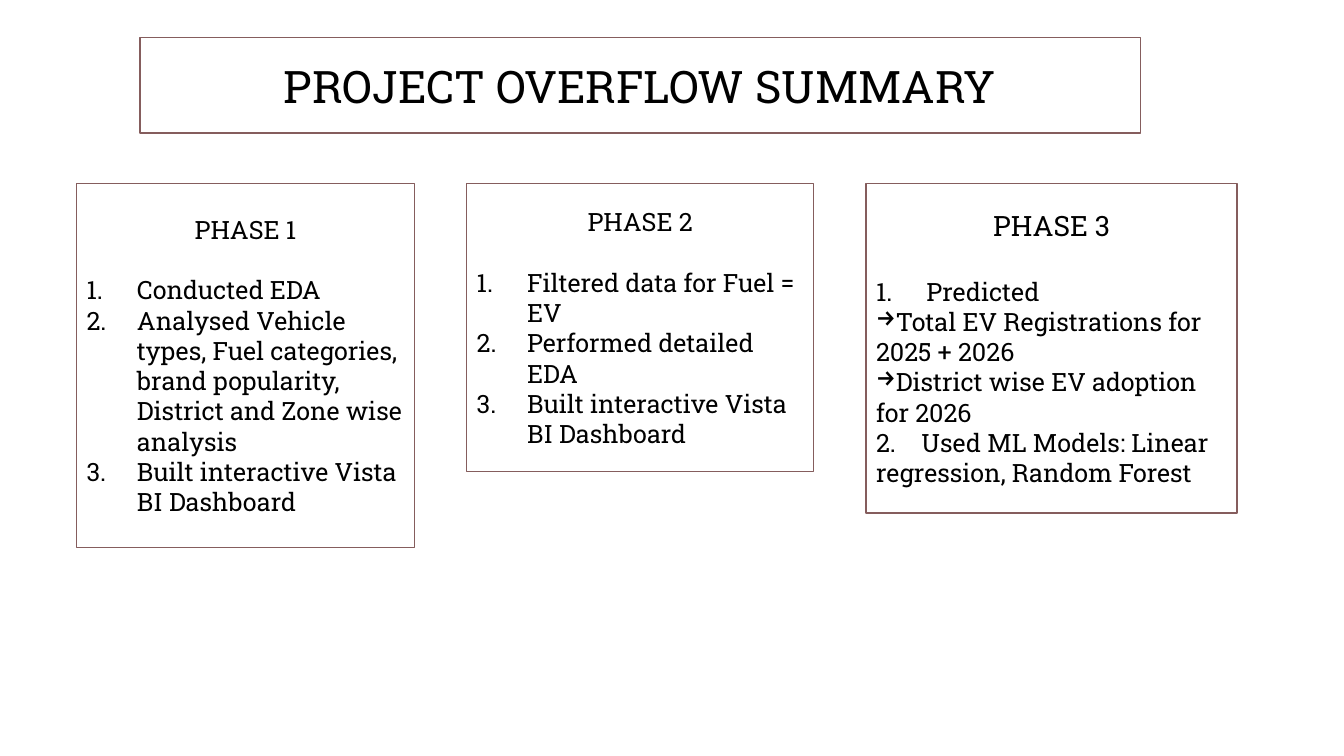
from dataclasses import dataclass
from typing import Any

import lxml.etree
import pptx
import pptx.dml.color
import pptx.enum.shapes
import pptx.enum.text
import pptx.oxml.ns
import pptx.util

PX = 9144  # EMU per px, 100 px to the inch
FONT = "Roboto Slab"
BLACK = pptx.dml.color.RGBColor(0x00, 0x00, 0x00)
WHITE = pptx.dml.color.RGBColor(0xFF, 0xFF, 0xFF)
BROWN = pptx.dml.color.RGBColor(0x85, 0x5D, 0x5D)
CENTER = pptx.enum.text.PP_ALIGN.CENTER
LEFT = pptx.enum.text.PP_ALIGN.LEFT
HANG = 50  # indent of numbered items
STOP = 45  # tab stop of the typed number
LEAD = 1.2  # line height of the font
TOP = 182  # shared top edge of the phases


@dataclass(frozen=True)
class Item:
    text: str
    mark: str = "1."  # "1." numbers, "" is plain, others are bullets


@dataclass(frozen=True)
class Phase:
    name: str
    left: int
    width: int
    height: int
    size: int
    items: tuple[Item, ...]


PHASES = (
    Phase("PHASE 1", 76, 335, 361, 18, (
        Item("Conducted EDA"),
        Item("Analysed Vehicle types, Fuel categories, brand popularity, "
             "District and Zone wise analysis"),
        Item("Built interactive Vista BI Dashboard"),
    )),
    Phase("PHASE 2", 463, 344, 286, 18, (
        Item("Filtered data for Fuel = EV"),
        Item("Performed detailed EDA"),
        Item("Built interactive Vista BI Dashboard"),
    )),
    Phase("PHASE 3", 859, 368, 327, 20, (
        Item("Predicted"),
        Item("Total EV Registrations for 2025 + 2026", "→"),
        Item("District wise EV adoption for 2026", "→"),
        Item("2.\tUsed ML Models: Linear regression, Random Forest", ""),
    )),
)


def add_box(slide: Any, left: int, top: int, width: int, height: int) -> Any:
    """Draw a framed box and return its text frame."""
    box = slide.shapes.add_shape(
        pptx.enum.shapes.MSO_SHAPE.RECTANGLE,
        left * PX, top * PX, width * PX, height * PX)
    box.shadow.inherit = False
    box.fill.solid()
    box.fill.fore_color.rgb = WHITE
    box.line.color.rgb = BROWN
    box.line.width = pptx.util.Pt(1)
    frame = box.text_frame
    frame.word_wrap = True
    frame.vertical_anchor = pptx.enum.text.MSO_ANCHOR.MIDDLE
    return frame


def add_tag(node: Any, name: str, **attrs: str) -> Any:
    return lxml.etree.SubElement(node, pptx.oxml.ns.qn(name), attrs)


def set_mark(para: Any, mark: str) -> None:
    """Number or bullet a paragraph, or give it a tab stop."""
    props = para._p.get_or_add_pPr()
    if mark == "1.":
        props.set("marL", str(HANG * PX))
        props.set("indent", str(-HANG * PX))
        add_tag(props, "a:buAutoNum", type="arabicPeriod")
    elif mark:
        props.set("marL", "0")
        props.set("indent", "0")
        add_tag(props, "a:buChar", char=mark)
    else:
        add_tag(props, "a:buNone")
        tabs = add_tag(props, "a:tabLst")
        add_tag(tabs, "a:tab", pos=str(STOP * PX), algn="l")


def add_text(frame: Any, text: str, *, size: int = 18, align: Any = LEFT,
             after: float = 0, first: bool = False) -> Any:
    """Write one paragraph and return it."""
    para = frame.paragraphs[0] if first else frame.add_paragraph()
    para.alignment = align
    para.space_after = pptx.util.Pt(after)
    run = para.add_run()
    run.text = text
    run.font.name = FONT
    run.font.size = pptx.util.Pt(size)
    run.font.color.rgb = BLACK
    return para


def add_phase(slide: Any, phase: Phase) -> None:
    frame = add_box(slide, phase.left, TOP, phase.width, phase.height)
    add_text(frame, phase.name, size=phase.size, align=CENTER,
             after=phase.size * LEAD, first=True)
    for item in phase.items:
        set_mark(add_text(frame, item.text), item.mark)


def main() -> None:
    deck = pptx.Presentation()
    deck.slide_width = 1333 * PX
    deck.slide_height = 750 * PX
    slide = deck.slides.add_slide(deck.slide_layouts[6])

    # Phases
    for phase in PHASES:
        add_phase(slide, phase)

    # Title
    title = add_box(slide, 139, 37, 992, 95)
    add_text(title, "PROJECT OVERFLOW SUMMARY", size=32, align=CENTER,
             first=True)

    deck.save("out.pptx")


if __name__ == "__main__":
    main()
